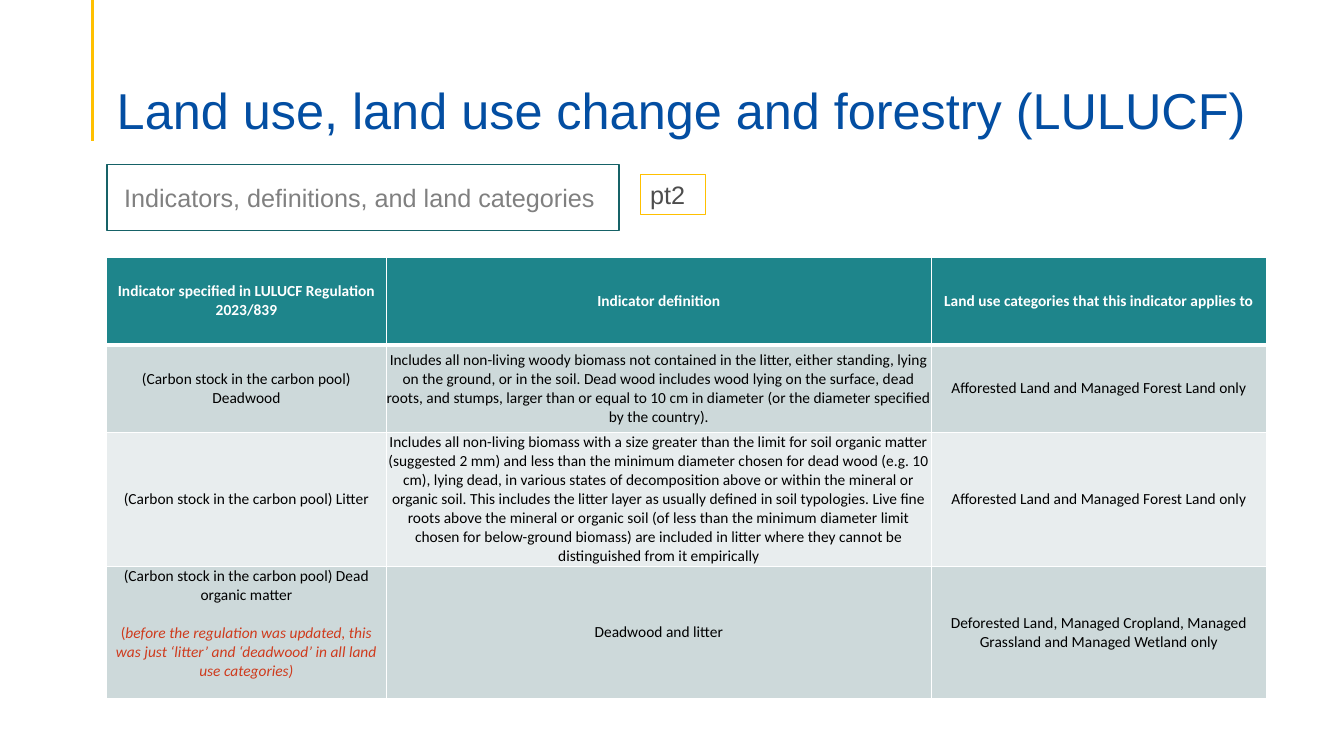
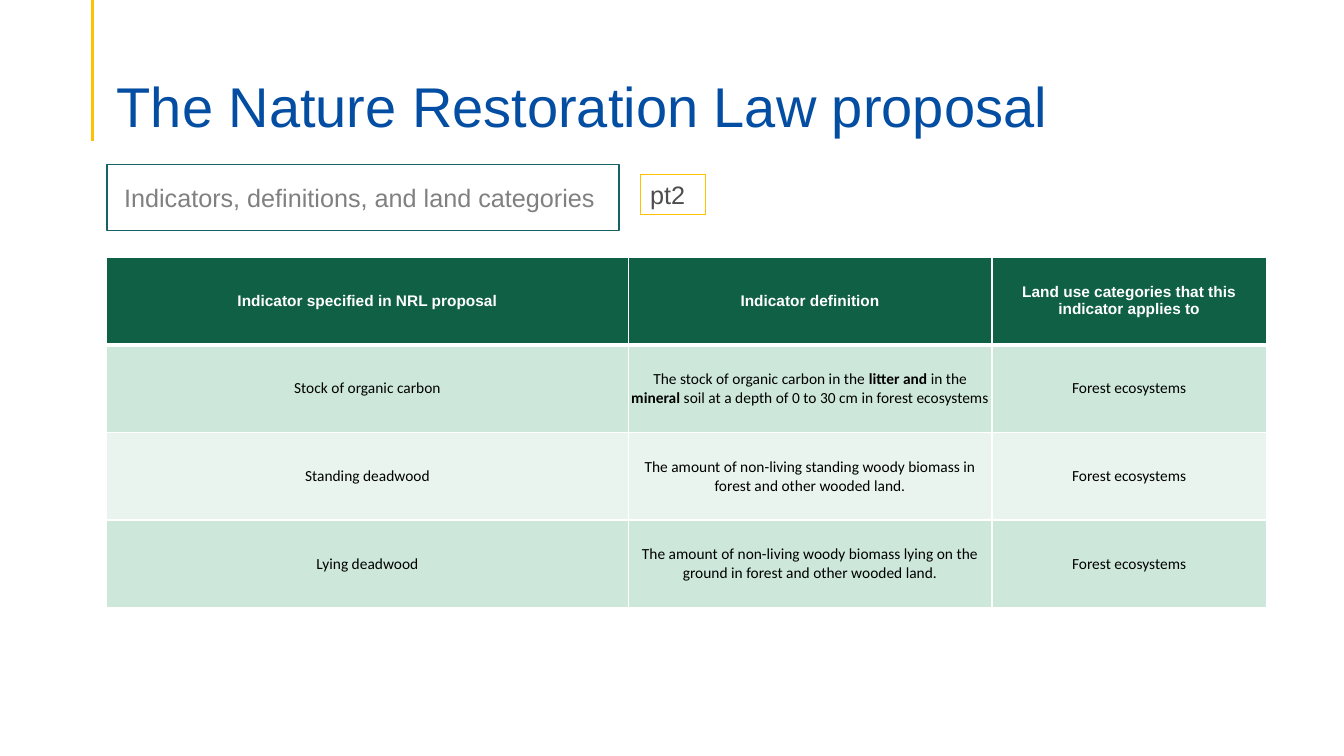
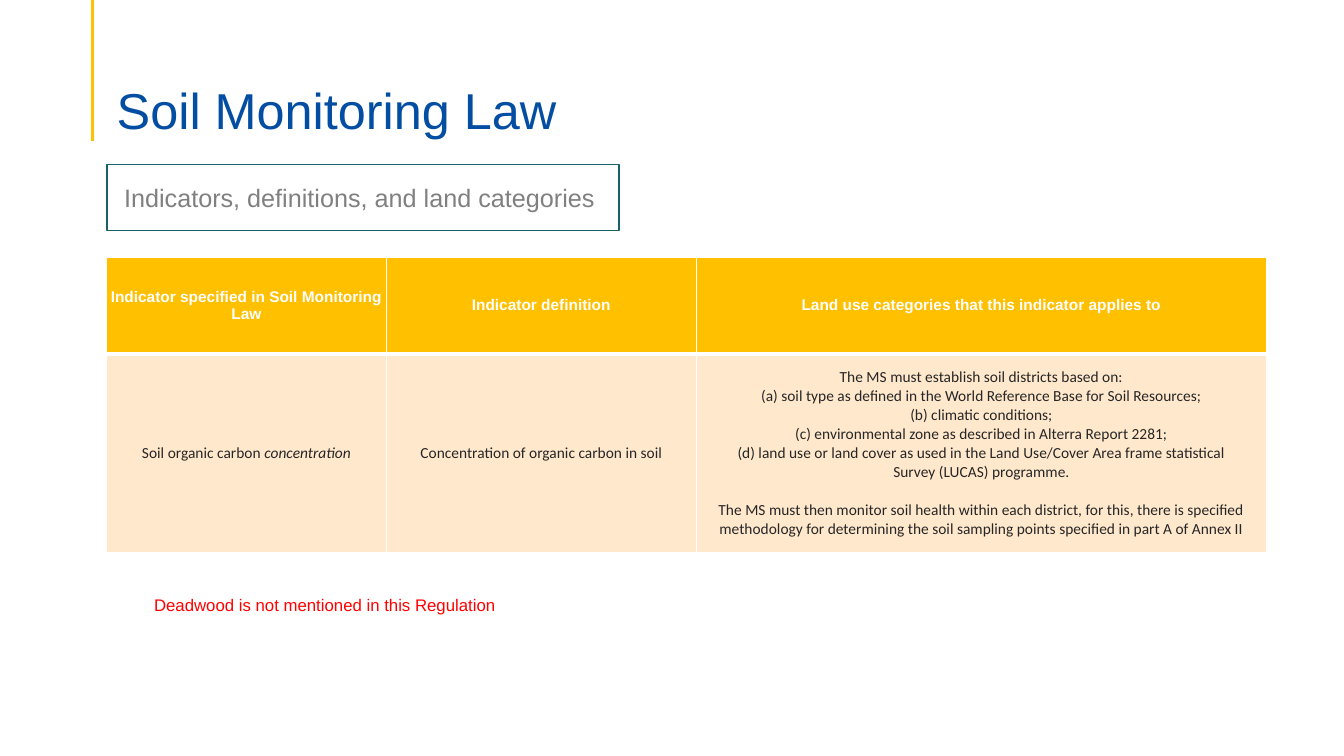
"""Build three slides comparing carbon indicators in EU land regulations."""
from lxml import etree
from pptx import Presentation
from pptx.dml.color import RGBColor
from pptx.enum.shapes import MSO_CONNECTOR, MSO_SHAPE
from pptx.enum.text import MSO_ANCHOR, PP_ALIGN
from pptx.oxml.ns import qn
from pptx.util import Pt

PX = 9144
LEFT, CENTER = PP_ALIGN.LEFT, PP_ALIGN.CENTER
TOP, MIDDLE, BOTTOM = MSO_ANCHOR.TOP, MSO_ANCHOR.MIDDLE, MSO_ANCHOR.BOTTOM
RECTANGLE, STRAIGHT = MSO_SHAPE.RECTANGLE, MSO_CONNECTOR.STRAIGHT

WHITE = RGBColor(0xFF, 0xFF, 0xFF)
BLACK = RGBColor(0x00, 0x00, 0x00)
CHARCOAL = RGBColor(0x26, 0x26, 0x26)
DARK_GREY = RGBColor(0x4D, 0x4D, 0x4D)
GREY = RGBColor(0x80, 0x80, 0x80)
BLUE = RGBColor(0x03, 0x4E, 0xA2)
GOLD = RGBColor(0xFF, 0xC0, 0x00)
PEACH = RGBColor(0xFF, 0xE8, 0xCC)
FRAME_TEAL = RGBColor(0x16, 0x62, 0x67)
TEAL = RGBColor(0x1E, 0x85, 0x8B)
TEAL_TINT = RGBColor(0xCD, 0xD9, 0xDA)
TEAL_PALE = RGBColor(0xE8, 0xED, 0xEE)
GREEN = RGBColor(0x0F, 0x60, 0x45)
GREEN_TINT = RGBColor(0xCD, 0xE8, 0xDA)
GREEN_PALE = RGBColor(0xE8, 0xF4, 0xED)
RUST = RGBColor(0xCF, 0x3B, 0x1D)
RED = RGBColor(0xFF, 0x00, 0x00)

MARGIN, CONTENT_WIDTH = 106, 1150
TABLE_TOP = 255
BLANK_LINE = Pt(13.5)
BOLD = {"bold": True}
DEFINITION = "Indicator definition"
CATEGORIES = "Land use categories that this indicator applies to"
FOREST_ONLY = "Afforested Land and Managed Forest Land only"
ECOSYSTEMS = "Forest ecosystems"


def write(frame, paragraphs, cell=None, size=11, font="Arial", color=BLACK, bold=False,
          align=LEFT, anchor=TOP, spacing=None, gap_before=None, insets=(10, 5, 10, 5)):
    """Fill a frame with paragraphs given as strings or lists of (text, overrides)."""
    frame.word_wrap = True
    holder = cell or frame
    holder.vertical_anchor = anchor
    (holder.margin_left, holder.margin_top,
     holder.margin_right, holder.margin_bottom) = [inset * PX for inset in insets]
    for index, content in enumerate(paragraphs):
        paragraph = frame.paragraphs[0] if index == 0 else frame.add_paragraph()
        paragraph.alignment = align
        if spacing:
            paragraph.line_spacing = spacing
        if index and index == gap_before:
            paragraph.space_before = BLANK_LINE
        for text, overrides in [(content, {})] if isinstance(content, str) else content:
            run = paragraph.add_run()
            run.text = text
            run.font.name = font
            run.font.size = Pt(size)
            run.font.bold = overrides.get("bold", bold)
            run.font.italic = overrides.get("italic", False)
            run.font.color.rgb = overrides.get("color", color)


def add_borders(cell, top, bottom):
    """Give a cell white borders, with widths in points above and below."""
    properties = cell._tc.get_or_add_tcPr()
    for side, width in (("L", 1), ("R", 1), ("T", top), ("B", bottom)):
        line = etree.SubElement(properties, qn(f"a:ln{side}"), w=str(Pt(width)))
        etree.SubElement(etree.SubElement(line, qn("a:solidFill")), qn("a:srgbClr"), val=str(WHITE))


DEAD_MATTER = [
    "(Carbon stock in the carbon pool) Dead organic matter",
    [("(", {"color": RUST}),
     ("before the regulation was updated, this was just ‘litter’ and ‘deadwood’ in all land use categories)",
      {"color": RUST, "italic": True})],
]
ORGANIC_CARBON = [[
    ("The stock of organic carbon in the ", {}), ("litter and ", BOLD), ("in the ", {}),
    ("mineral", BOLD), (" soil at a depth of 0 to 30 cm in forest ecosystems", {}),
]]
CONCENTRATION = [[("Soil organic carbon ", {}), ("concentration", {"italic": True})]]
SOIL_DISTRICTS = [
    "The MS must establish soil districts based on:",
    "(a) soil type as defined in the World Reference Base for Soil Resources;",
    "(b) climatic conditions;",
    "(c) environmental zone as described in Alterra Report 2281;",
    "(d) land use or land cover as used in the Land Use/Cover Area frame statistical",
    "Survey (LUCAS) programme.",
    "The MS must then monitor soil health within each district, for this, there is specified "
    "methodology for determining the soil sampling points specified in part A of Annex II",
]

REGULATIONS = [
    {
        "title": "Land use, land use change and forestry (LULUCF)", "title_size": 36,
        "part": "pt2", "note": None, "header_font": "Calibri", "ink": BLACK,
        "fills": (TEAL, TEAL_TINT, TEAL_PALE, TEAL_TINT),
        "columns": (277, 541, 332), "heights": (87, 87, 133, 131),
        "rows": [
            ("Indicator specified in LULUCF Regulation 2023/839", DEFINITION, CATEGORIES),
            ("(Carbon stock in the carbon pool) Deadwood",
             "Includes all non-living woody biomass not contained in the litter, either standing, lying "
             "on the ground, or in the soil. Dead wood includes wood lying on the surface, dead roots, "
             "and stumps, larger than or equal to 10 cm in diameter (or the diameter specified by the "
             "country).", FOREST_ONLY),
            ("(Carbon stock in the carbon pool) Litter",
             "Includes all non-living biomass with a size greater than the limit for soil organic matter "
             "(suggested 2 mm) and less than the minimum diameter chosen for dead wood (e.g. 10 cm), "
             "lying dead, in various states of decomposition above or within the mineral or organic "
             "soil. This includes the litter layer as usually defined in soil typologies. Live fine "
             "roots above the mineral or organic soil (of less than the minimum diameter limit chosen "
             "for below-ground biomass) are included in litter where they cannot be distinguished from "
             "it empirically", FOREST_ONLY),
            ((DEAD_MATTER, {"gap_before": 1, "insets": (0, 0, 0, 18)}), "Deadwood and litter",
             "Deforested Land, Managed Cropland, Managed Grassland and Managed Wetland only"),
        ],
    },
    {
        "title": "The Nature Restoration Law proposal", "title_size": 40,
        "part": "pt2", "note": None, "header_font": "Arial", "ink": BLACK,
        "fills": (GREEN, GREEN_TINT, GREEN_PALE, GREEN_TINT),
        "columns": (517, 361, 272), "heights": (87, 87, 87, 87),
        "rows": [
            ("Indicator specified in NRL proposal", DEFINITION, CATEGORIES),
            ("Stock of organic carbon", (ORGANIC_CARBON, {}), ECOSYSTEMS),
            ("Standing deadwood",
             "The amount of non-living standing woody biomass in forest and other wooded land.",
             ECOSYSTEMS),
            ("Lying deadwood",
             "The amount of non-living woody biomass lying on the ground in forest and other wooded land.",
             ECOSYSTEMS),
        ],
    },
    {
        "title": "Soil Monitoring Law", "title_size": 36,
        "part": None, "note": "Deadwood is not mentioned in this Regulation",
        "header_font": "Arial", "ink": CHARCOAL, "fills": (GOLD, PEACH),
        "columns": (277, 308, 565), "heights": (96, 197),
        "rows": [
            ("Indicator specified in Soil Monitoring Law", DEFINITION, CATEGORIES),
            ((CONCENTRATION, {}), "Concentration of organic carbon in soil",
             (SOIL_DISTRICTS, {"gap_before": 6})),
        ],
    },
]

deck = Presentation()
deck.slide_width, deck.slide_height = 1333 * PX, 750 * PX

for regulation in REGULATIONS:
    slide = deck.slides.add_slide(deck.slide_layouts[6])
    shapes = slide.shapes

    accent = shapes.add_connector(STRAIGHT, 92 * PX, 0, 92 * PX, 140 * PX)
    accent.line.color.rgb = GOLD
    accent.line.width = Pt(2.25)
    etree.SubElement(accent._element.spPr, qn("a:effectLst"))

    title = shapes.add_textbox(MARGIN * PX, 53 * PX, CONTENT_WIDTH * PX, 86 * PX)
    write(title.text_frame, [regulation["title"]], size=regulation["title_size"], color=BLUE,
          anchor=BOTTOM, spacing=0.9, insets=(10, 5, 10, 0))

    labels = [("Indicators, definitions, and land categories ", (MARGIN, 163, 508, 66),
               FRAME_TEAL, {"color": GREY, "align": CENTER, "anchor": MIDDLE})]
    if regulation["part"]:
        labels.append((regulation["part"], (635, 173, 65, 40), GOLD, {"color": DARK_GREY}))
    for text, box, outline, text_format in labels:
        label = shapes.add_shape(RECTANGLE, *[length * PX for length in box])
        label.shadow.inherit = False
        label.fill.solid()
        label.fill.fore_color.rgb = WHITE
        label.line.color.rgb = outline
        label.line.width = Pt(1)
        write(label.text_frame, [text], size=18, **text_format)

    rows, columns, heights = regulation["rows"], regulation["columns"], regulation["heights"]
    indicators = shapes.add_table(len(rows), len(columns), MARGIN * PX, TABLE_TOP * PX,
                                  CONTENT_WIDTH * PX, sum(heights) * PX).table
    indicators.first_row = indicators.horz_banding = False
    for column, width in zip(indicators.columns, columns):
        column.width = width * PX
    for row_index, (row, height) in enumerate(zip(rows, heights)):
        indicators.rows[row_index].height = height * PX
        is_header = row_index == 0
        for column_index, content in enumerate(row):
            cell = indicators.cell(row_index, column_index)
            add_borders(cell, top=3 if row_index == 1 else 1, bottom=3 if is_header else 1)
            cell.fill.solid()
            cell.fill.fore_color.rgb = regulation["fills"][row_index]
            paragraphs, extra = ([content], {}) if isinstance(content, str) else content
            write(cell.text_frame, paragraphs, cell=cell, bold=is_header, align=CENTER,
                  anchor=MIDDLE, font=regulation["header_font"] if is_header else "Calibri",
                  color=WHITE if is_header else regulation["ink"],
                  **{"insets": (0, 0, 0, 0), **extra})

    if regulation["note"]:
        note = shapes.add_textbox(143 * PX, 585 * PX, 500 * PX, 30 * PX)
        write(note.text_frame, [regulation["note"]], size=12, color=RED)

deck.save("out.pptx")
